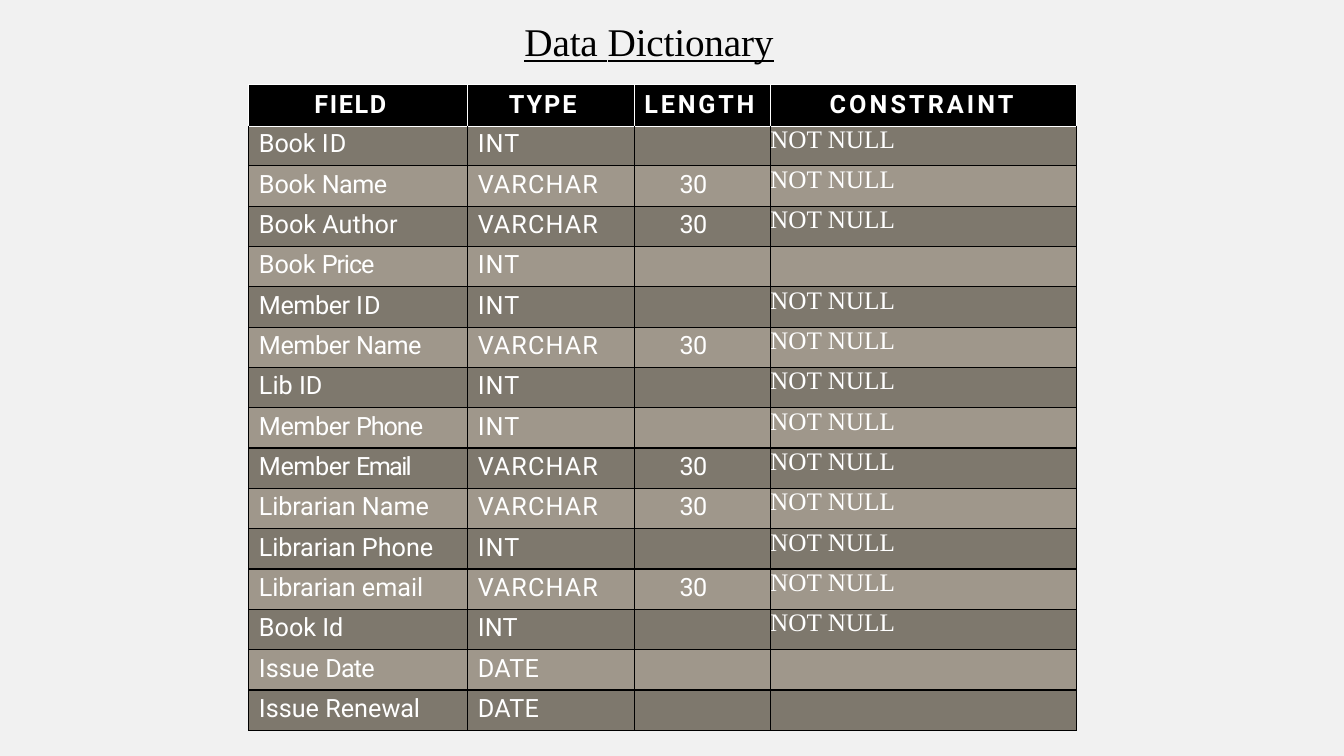
from pptx import Presentation
from pptx.dml.color import RGBColor
from pptx.enum import text
from pptx.oxml import parse_xml
from pptx.oxml.ns import nsdecls
from pptx.util import Pt

BLACK = RGBColor(0x00, 0x00, 0x00)
WHITE = RGBColor(0xFF, 0xFF, 0xFF)
PAPER = RGBColor(0xF1, 0xF1, 0xF1)
DARK_ROW = RGBColor(0x7E, 0x78, 0x6D)
LIGHT_ROW = RGBColor(0x9F, 0x97, 0x8B)

SANS, SERIF = "Roboto", "Times New Roman"
COLUMN_WIDTHS = [156.3, 119, 97.1, 218.7]
HEADER_HEIGHT, FIRST_HEIGHT, ROW_HEIGHT = 29.6, 28.4, 28.8

# Heading, indent and letter spacing of each column
HEADINGS = [("FIELD", 46.8, 1.2), ("TYPE", 29.5, 1.4),
            ("LENGTH", 7.2, 2), ("CONSTRAINT", 42.5, 2.2)]

# Field as (text, letter spacing) runs, type, its spacing, whether NOT NULL
FIELDS = [
    ([("Book ", -0.1), ("ID", 0.9)], "INT", 0.8, True),
    ([("Book ", -0.1), ("Name", -0.4)], "VARCHAR", 0.8, True),
    ([("Book Author", 0)], "VARCHAR", 0.8, True),
    ([("Book ", -0.1), ("Price", -0.8)], "INT", 0.8, False),
    ([("Member ", -0.3), ("ID", 0.9)], "INT", 0.8, True),
    ([("Member ", -0.3), ("Name", -0.4)], "VARCHAR", 0.8, True),
    ([("Lib ID", 0)], "INT", 0.8, True),
    ([("Member ", -0.3), ("Phone", -0.8)], "INT", 0.8, True),
    ([("Member ", -0.3), ("Email", -1.2)], "VARCHAR", 0.8, True),
    ([("Libraria", -0.1), ("n Name", 0)], "VARCHAR", 0.8, True),
    ([("Libraria", -0.1), ("n Phone", 0)], "INT", 0.8, True),
    ([("Libraria", -0.1), ("n email", 0)], "VARCHAR", 0.8, True),
    ([("Book Id", 0)], "INT", 0.2, True),
    ([("Issue ", 0), ("Date", -0.6)], "DATE", 0.2, False),
    ([("Issue Rene", 0), ("wal", -0.1)], "DATE", 0.2, False),
]


def write_runs(paragraph, runs, font_name, size, color, before=0):
    paragraph.space_before = Pt(before)
    font = paragraph.font
    font.name, font.size = font_name, Pt(size)
    font.color.rgb = color
    for wording, spacing in runs:
        run = paragraph.add_run()
        run.text = wording
        run._r.get_or_add_rPr().set("spc", str(round(spacing * 100)))


def set_borders(cell, sides):
    properties = cell._tc.get_or_add_tcPr()
    for position, side in enumerate(sides):
        properties.insert(position, parse_xml(
            f'<a:ln{side} {nsdecls("a")} w="12700"><a:solidFill>'
            f'<a:srgbClr val="{BLACK}"/></a:solidFill></a:ln{side}>'))


def fill_cell(cell, runs, fill, indent=0, top=0, before=0, font_name=SANS):
    cell.margin_left, cell.margin_top = Pt(indent), Pt(top)
    cell.margin_right = cell.margin_bottom = 0
    cell.fill.solid()
    cell.fill.fore_color.rgb = fill
    paragraph = cell.text_frame.paragraphs[0]
    write_runs(paragraph, runs, font_name, 18, WHITE, before)
    return paragraph


def add_title(slide):
    title = slide.shapes.add_textbox(Pt(373.7), Pt(11.5), Pt(181.4), Pt(35.3))
    frame = title.text_frame
    frame.word_wrap = True
    frame.auto_size = text.MSO_AUTO_SIZE.SHAPE_TO_FIT_TEXT
    frame.margin_left, frame.margin_top = Pt(0.9), Pt(0.9)
    frame.margin_right = frame.margin_bottom = 0
    heading = frame.paragraphs[0]
    write_runs(heading, [("Data", -0.1), (" ", -0.6), ("Dictionary", -0.1)],
               SERIF, 28, BLACK, 0.9)
    heading.font.underline = True


def add_dictionary(slide):
    heights = [HEADER_HEIGHT, FIRST_HEIGHT] + [ROW_HEIGHT] * (len(FIELDS) - 1)
    dictionary = slide.shapes.add_table(
        len(heights), len(COLUMN_WIDTHS), Pt(177.8), Pt(60.5),
        Pt(sum(COLUMN_WIDTHS)), Pt(sum(heights))).table
    dictionary.first_row = dictionary.horz_banding = False
    for column, width in zip(dictionary.columns, COLUMN_WIDTHS):
        column.width = Pt(width)
    for row, height in zip(dictionary.rows, heights):
        row.height = Pt(height)

    # Header row
    for column, (heading, indent, spacing) in enumerate(HEADINGS):
        paragraph = fill_cell(dictionary.cell(0, column), [(heading, spacing)],
                              BLACK, indent, 3.6, 3.4)
        paragraph.font.bold = True

    # Field rows in alternating shades
    for row, (field, kind, spacing, required) in enumerate(FIELDS, 1):
        fill = DARK_ROW if row % 2 else LIGHT_ROW
        top, before = (2.2, 2.4) if row == 1 else (2.9, 2.9)
        length = [("30", -0.5)] if kind == "VARCHAR" else []
        constraint = [("NOT NULL", 0)] if required else []
        cells = [dictionary.cell(row, column) for column in range(4)]
        fill_cell(cells[0], field, fill, 7.2, top, before)
        fill_cell(cells[1], [(kind, spacing)], fill, 7.2, top, before)
        fill_cell(cells[2], length, fill, 32.4, top, before)
        fill_cell(cells[3], constraint, fill, font_name=SERIF)
        for cell in cells:
            set_borders(cell, "LRB" if row == 1 else "LRTB")


def main():
    deck = Presentation()
    deck.slide_width, deck.slide_height = Pt(960), Pt(540)
    slide = deck.slides.add_slide(deck.slide_layouts[6])
    slide.background.fill.solid()
    slide.background.fill.fore_color.rgb = PAPER
    add_title(slide)
    add_dictionary(slide)
    deck.save("out.pptx")


if __name__ == "__main__":
    main()
